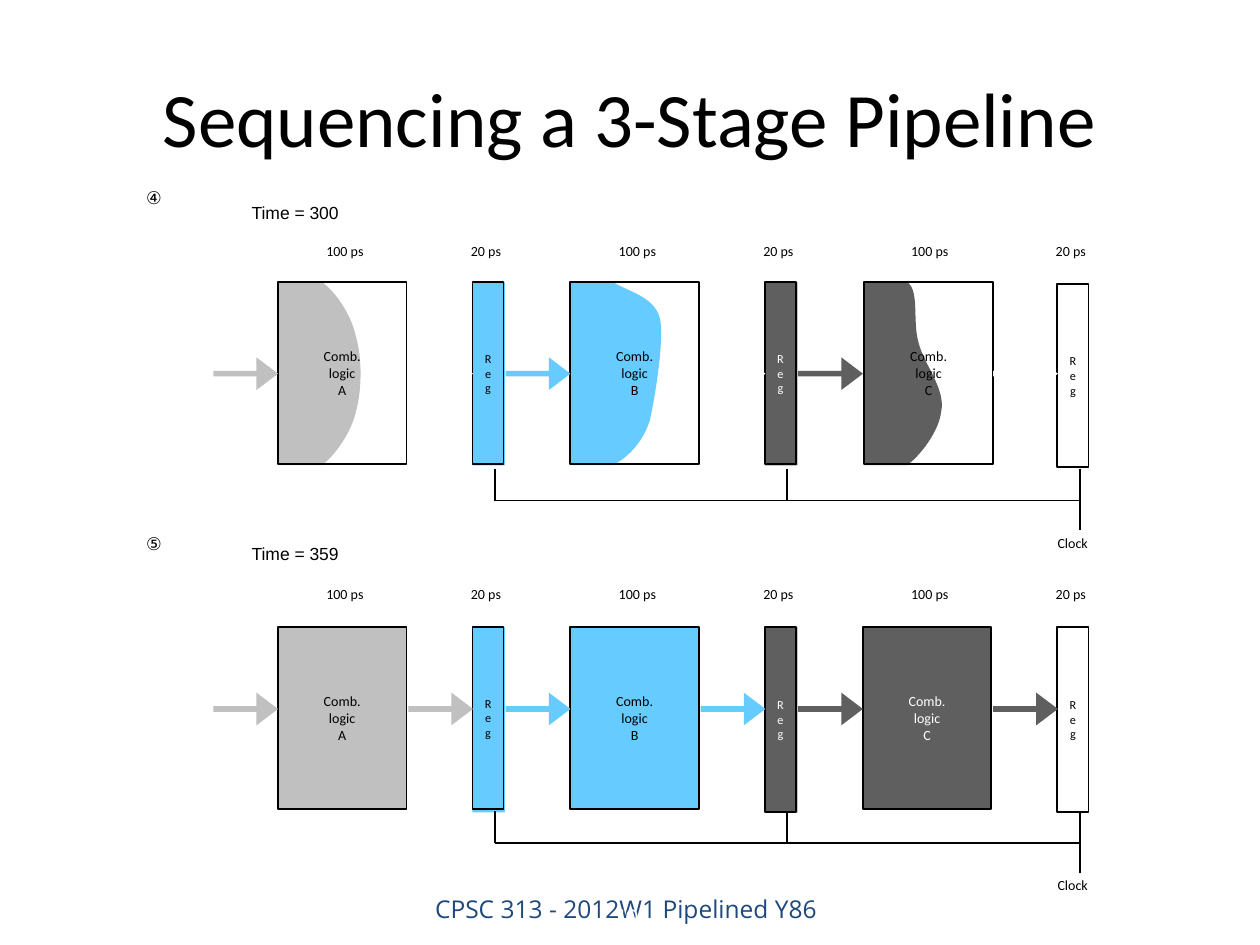
from dataclasses import dataclass
from lxml.etree import SubElement
from pptx import Presentation
from pptx.dml.color import RGBColor
from pptx.enum.shapes import MSO_CONNECTOR, MSO_SHAPE
from pptx.enum.text import MSO_ANCHOR, PP_ALIGN
from pptx.oxml.ns import qn
from pptx.util import Pt


@dataclass(frozen=True)
class Theme:
    black: str = "000000"
    white: str = "FFFFFF"
    gray: str = "C0C0C0"
    blue: str = "66CCFF"
    dark: str = "5F5F5F"
    navy: str = "1F497D"
    body: str = "Calibri"
    plain: str = "Arial"
    footer: str = "Open Sans"
    number: str = "Cabin"
    title_size: int = 44
    footer_size: int = 14
    number_size: int = 11
    time_size: int = 10
    label_size: int = 8
    reg_size: int = 7


T = Theme()
TITLE = "Sequencing a 3-Stage Pipeline"
FOOTER = "CPSC 313 - 2012W1 Pipelined Y86"
NUMBER = "10"
STAGES = [("A", T.gray), ("B", T.blue), ("C", T.dark)]
REG_INKS = [T.black, T.white, T.black]

WAVES = [
    [(25.2, 104.6),
     (32.4, 99.4), (41.8, 86.4), (44.6, 74.2),
     (48.2, 61.2), (48.2, 43.2), (44.6, 31),
     (41.8, 18), (32.4, 5), (25.2, 0)],
    [(24.5, 104.6),
     (31.7, 100.8), (41, 92.9), (45.4, 79.2),
     (48.2, 67), (54, 32.4), (51.1, 20.2),
     (47.5, 7.9), (31.7, 5), (24.5, 0)],
    [(24.5, 104.6),
     (31.7, 99.4), (42.5, 85.7), (43.9, 74.2),
     (46.8, 61.2), (33.8, 46.8), (31, 34.6),
     (27.4, 22.3), (31.7, 5), (24.5, 0)],
]

PANELS = [
    dict(mark="④", mark_y=94.3, time="Time = 300", time_y=115.2, label_y=138.5,
         top=161.2, shifts=[0, 0, 0.9], regs=[(0, 104), (0, 104), (1.2, 104.4)],
         backs=[T.blue, T.dark, None], back_h=104.8,
         arrow_y=204.2, clock_y=267.8, waves=WAVES, inks=[T.black] * 3,
         outputs=[T.white] * 3),
    dict(mark="⑤", mark_y=291.6, time="Time = 359", time_y=310.3, label_y=334.5,
         top=358.2, shifts=[0, 0, 0], regs=[(0, 104), (0, 105.8), (0, 105.8)],
         backs=[T.blue, T.dark, T.white], back_h=106,
         arrow_y=395.8, clock_y=463.5, waves=None,
         inks=[T.black, T.black, T.white],
         outputs=[T.gray, T.blue, T.dark]),
]

PITCH, LOGIC_X, LOGIC_W, LOGIC_H = 167.1, 158.8, 73.5, 104
REG_X, REG_W, BACK_W = 270, 17.8, 18.6
ARROW_X, ARROW_W, ARROW_H = 121.9, 37, 18.7
LABEL_W, LABEL_H = 40, 9.6
TAP_X, TAP_H, CLOCK_H = 282.8, 18.3, 35.2

prs = Presentation()
prs.slide_width, prs.slide_height = Pt(720), Pt(540)
s = prs.slides.add_slide(prs.slide_layouts[6])


def write(sp, text, size, font=T.body, color=T.black, align=PP_ALIGN.CENTER,
          anchor=MSO_ANCHOR.MIDDLE, inset=(0, 0), wrap=False):
    tf = sp.text_frame
    tf.word_wrap = wrap
    tf.vertical_anchor = anchor
    tf.margin_left = tf.margin_right = Pt(inset[0])
    tf.margin_top = tf.margin_bottom = Pt(inset[1])
    for i, line in enumerate(text.split("\n")):
        p = tf.add_paragraph() if i else tf.paragraphs[0]
        p.alignment = align
        r = p.add_run()
        r.text = line
        r.font.size, r.font.name = Pt(size), font
        r.font.color.rgb = RGBColor.from_string(color)


def label(x, y, w, h, text, size, **fmt):
    write(s.shapes.add_textbox(Pt(x), Pt(y), Pt(w), Pt(h)), text, size, **fmt)


def paint(sp, fill=None, line=None):
    sp.shadow.inherit = False
    if fill:
        sp.fill.solid()
        sp.fill.fore_color.rgb = RGBColor.from_string(fill)
    else:
        sp.fill.background()
    if line:
        sp.line.color.rgb = RGBColor.from_string(line)
        sp.line.width = Pt(1)
    else:
        sp.line.fill.background()


def shape(kind, x, y, w, h, **colors):
    sp = s.shapes.add_shape(kind, Pt(x), Pt(y), Pt(w), Pt(h))
    paint(sp, **colors)
    return sp


def arrow(x, y, color):
    sp = shape(MSO_SHAPE.RIGHT_ARROW, x, y, ARROW_W, ARROW_H, fill=color)
    sp.adjustments[0], sp.adjustments[1] = 0.17, 0.66


def line(x1, y1, x2, y2):
    c = s.shapes.add_connector(MSO_CONNECTOR.STRAIGHT, Pt(x1), Pt(y1), Pt(x2), Pt(y2))
    c.line.color.rgb = RGBColor.from_string(T.black)
    c.line.width = Pt(1)
    SubElement(c._element.spPr, qn("a:effectLst"))


def wave(x, y, edge, color):
    pts = [(Pt(x + px), Pt(y + py)) for px, py in [(0, 0), (0, edge[0][1])] + edge]
    fb = s.shapes.build_freeform(*pts[0], scale=1.0)
    fb.add_line_segments(pts[1:], close=True)
    sp = fb.convert_to_shape()
    paint(sp, fill=color)
    segments = list(sp._element.iter(qn("a:lnTo")))[2:2 + len(edge) - 1]
    for i in range(0, len(segments), 3):
        bezier = segments[i]
        bezier.tag = qn("a:cubicBezTo")
        for extra in segments[i + 1:i + 3]:
            bezier.append(extra[0])
            extra.getparent().remove(extra)


def panel(d):
    label(83.5, d["mark_y"], 38.2, 37.4, d["mark"], T.time_size,
          font=T.plain, align=PP_ALIGN.LEFT, wrap=True)
    label(143.8, d["time_y"], 56, 12.2, d["time"], T.time_size,
          font=T.plain, align=PP_ALIGN.LEFT)
    bus_y = d["clock_y"] + TAP_H
    for i, (name, color) in enumerate(STAGES):
        dx = i * PITCH
        x, rx = LOGIC_X + dx + d["shifts"][i], REG_X + dx
        drop, reg_h = d["regs"][i]
        for center, text in ((197.1 + dx, "100 ps"), (rx + 7.7, "20 ps")):
            label(center - LABEL_W / 2, d["label_y"], LABEL_W, LABEL_H, text, T.label_size)

        if d["waves"]:
            wave(x, d["top"], d["waves"][i], color)
        logic = shape(MSO_SHAPE.RECTANGLE, x, d["top"], LOGIC_W, LOGIC_H,
                      fill=None if d["waves"] else color, line=T.black)
        write(logic, f"Comb.\nlogic\n{name}", T.label_size, color=d["inks"][i])

        if d["backs"][i]:
            shape(MSO_SHAPE.RECTANGLE, rx, d["top"], BACK_W, d["back_h"],
                  fill=d["backs"][i])
        reg = shape(MSO_SHAPE.RECTANGLE, rx, d["top"] + drop, REG_W, reg_h, line=T.black)
        write(reg, "R\ne\ng", T.reg_size, color=REG_INKS[i])

        arrow(ARROW_X + dx, d["arrow_y"], color)
        arrow(ARROW_X + 111.4 + dx, d["arrow_y"], d["outputs"][i])
        tap_h = CLOCK_H if i == len(STAGES) - 1 else TAP_H
        line(TAP_X + dx, d["clock_y"], TAP_X + dx, d["clock_y"] + tap_h)
    line(TAP_X, bus_y, TAP_X + 2 * PITCH, bus_y)
    label(613 - LABEL_W / 2, d["clock_y"] + 37.6, LABEL_W, LABEL_H, "Clock", T.label_size)


label(229.7, 507.6, 256.3, 21.6, FOOTER, T.footer_size, font=T.footer, color=T.navy,
      anchor=MSO_ANCHOR.TOP, inset=(7.2, 3.6), wrap=True)
label(350.6, 514.1, 17.3, 18.7, NUMBER, T.number_size, font=T.number, color=T.white,
      anchor=MSO_ANCHOR.TOP, inset=(0, 2.9))
label(36, 21.6, 648, 90, TITLE, T.title_size, inset=(7.2, 3.6), wrap=True)
for d in PANELS:
    panel(d)
prs.save("out.pptx")
